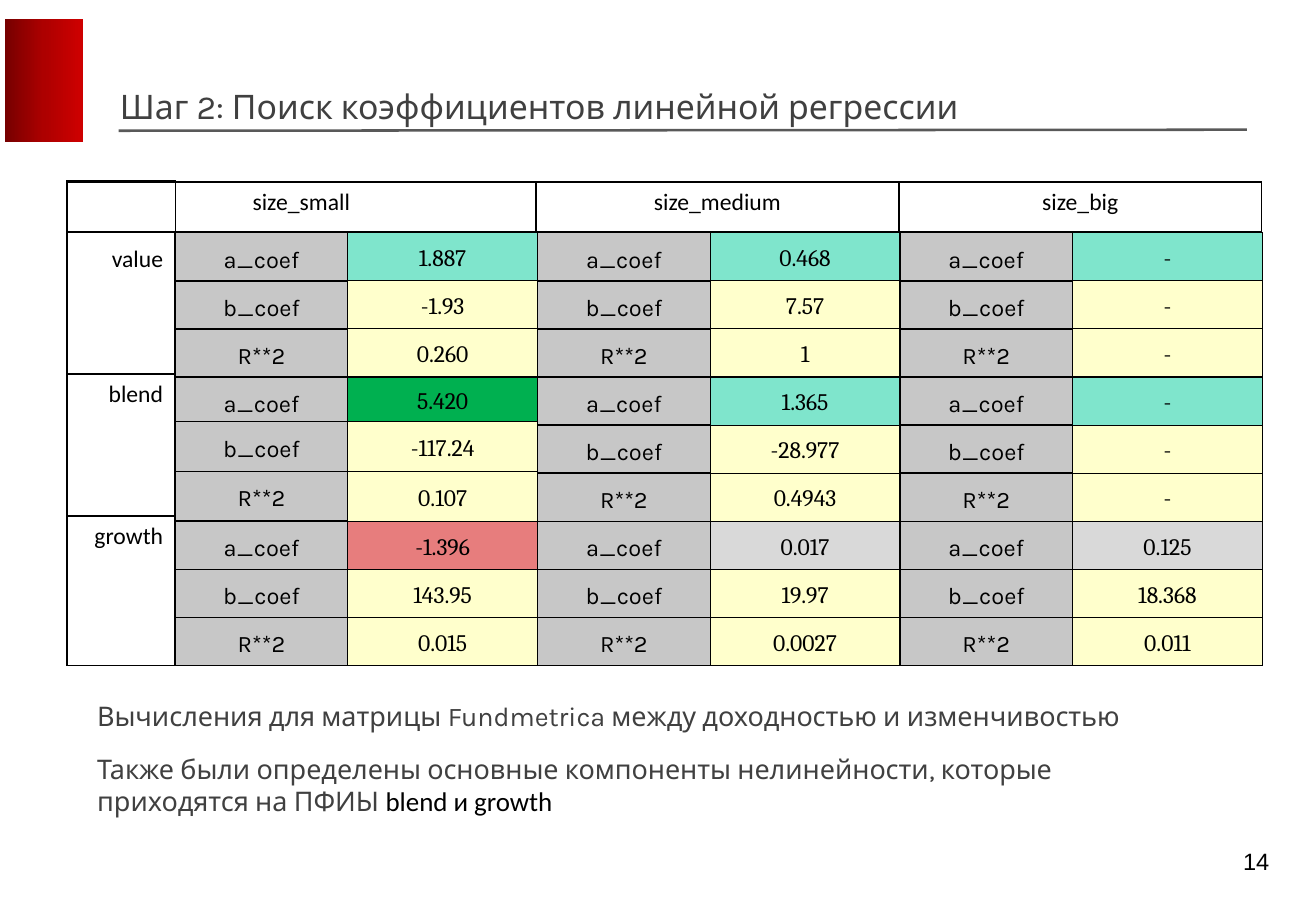
from copy import deepcopy

from lxml.etree import SubElement
from pptx import Presentation
from pptx.dml.color import RGBColor
from pptx.enum.shapes import MSO_CONNECTOR, MSO_SHAPE
from pptx.enum.text import MSO_ANCHOR, MSO_AUTO_SIZE, PP_ALIGN
from pptx.oxml.ns import qn
from pptx.util import Pt

COLORS = {
    "black": "000000", "text": "404040", "rule": "595959",
    "dark_red": "770000", "red": "AD0000", "bright_red": "CE0000",
    "label": "C7C7C7", "plain": "FFFFCC", "mint": "7FE5CC",
    "green": "00B050", "rose": "E77D7D", "neutral": "D9D9D9",
}
COEFFICIENTS = ["a_coef", "b_coef", "R**2"]
SIZES = ["size_small", "size_medium", "size_big"]
STYLES = ["value", "blend", "growth"]
# One row per style, one entry per size: colour of a_coef, then the three values.
RESULTS = [
    [("mint", "1.887", "-1.93", "0.260"), ("mint", "0.468", "7.57", "1"),
     ("mint", "-", "-", "-")],
    [("green", "5.420", "-117.24", "0.107"), ("mint", "1.365", "-28.977", "0.4943"),
     ("mint", "-", "-", "-")],
    [("rose", "-1.396", "143.95", "0.015"), ("neutral", "0.017", "19.97", "0.0027"),
     ("neutral", "0.125", "18.368", "0.011")],
]
BLOCK_LEFT, BLOCK_TOP = 103.8, 138
BLOCK_COLUMNS = [102.4, 112.4]
BLOCK_WIDTH, BLOCK_HEIGHT = sum(BLOCK_COLUMNS), 85.5
EVEN_ROWS = [BLOCK_HEIGHT / 3] * 3
BLEND_SMALL_ROWS = [26.5, 29.5, 29.5]


def color(name):
    return RGBColor.from_string(COLORS[name])


class SlideBuilder:
    def __init__(self, slide):
        self.slide = slide

    def set_font(self, font, name, size, color_name):
        font.name, font.size, font.bold = name, Pt(size), False
        font.color.rgb = color(color_name)

    def place(self, shape, left, top, width, height):
        shape.left, shape.top = Pt(left), Pt(top)
        shape.width, shape.height = Pt(width), Pt(height)

    def prepare_frame(self, frame, wrap=True):
        frame.word_wrap = wrap
        frame.auto_size = MSO_AUTO_SIZE.SHAPE_TO_FIT_TEXT
        frame.vertical_anchor = MSO_ANCHOR.TOP
        frame.margin_left = frame.margin_right = Pt(3.6)
        frame.margin_top = frame.margin_bottom = Pt(3.6)

    def placeholder(self, shape, box, paragraphs, size):
        """Fill a placeholder; each paragraph is a list of (text, font, colour) runs."""
        self.place(shape, *box)
        frame = shape.text_frame
        self.prepare_frame(frame)
        for index, runs in enumerate(paragraphs):
            paragraph = frame.add_paragraph() if index else frame.paragraphs[0]
            paragraph.alignment = PP_ALIGN.LEFT
            paragraph.space_before = Pt(12)
            properties = paragraph._p.get_or_add_pPr()
            properties.set("marL", "0")
            properties.set("indent", "0")
            SubElement(properties, qn("a:buNone"))
            self.set_font(paragraph.font, runs[0][1], size, runs[0][2])
            for text, font_name, color_name in runs:
                run = paragraph.add_run()
                run.text = text
                if len(runs) > 1:
                    self.set_font(run.font, font_name, size, color_name)

    def page_number(self, text, box):
        shape = self.slide.shapes.add_textbox(*[Pt(length) for length in box])
        self.prepare_frame(shape.text_frame, wrap=False)
        paragraph = shape.text_frame.paragraphs[0]
        paragraph.text = text
        paragraph.alignment = PP_ALIGN.RIGHT
        self.set_font(paragraph.font, "Arial", 14, "black")

    def gradient_block(self, box, color_names):
        shape = self.slide.shapes.add_shape(
            MSO_SHAPE.RECTANGLE, *[Pt(length) for length in box])
        shape.shadow.inherit = False
        shape.line.fill.background()
        shape.fill.gradient()
        shape.fill.gradient_angle = 0
        first = shape._element.spPr.find(".//" + qn("a:gs"))
        first.addnext(deepcopy(first))
        stops = shape.fill.gradient_stops
        for index, (stop, name) in enumerate(zip(stops, color_names)):
            stop.position = index / (len(color_names) - 1)
            stop.color.rgb = color(name)

    def line(self, start, end):
        connector = self.slide.shapes.add_connector(
            MSO_CONNECTOR.STRAIGHT, *[Pt(length) for length in start + end])
        connector.line.color.rgb = color("rule")
        connector.line.width = Pt(1.5)
        SubElement(connector._element.spPr, qn("a:effectLst"))

    def table(self, left, top, columns, rows):
        frame = self.slide.shapes.add_table(
            len(rows), len(columns), Pt(left), Pt(top), Pt(sum(columns)), Pt(sum(rows)))
        table = frame.table
        table.first_row = table.horz_banding = False
        for column, width in zip(table.columns, columns):
            column.width = Pt(width)
        for row, height in zip(table.rows, rows):
            row.height = Pt(height)
        return table

    def cell(self, cell, text, font_name="Calibri", fill=None, borders=(1, 1, 1, 1),
             alignment=PP_ALIGN.CENTER):
        """Write one cell; borders are widths for left, right, top, bottom."""
        properties = cell._tc.get_or_add_tcPr()
        for side, width in zip("LRTB", borders):
            border = SubElement(properties, qn("a:ln" + side), w=str(Pt(width)))
            paint = SubElement(border, qn("a:solidFill"))
            SubElement(paint, qn("a:srgbClr"), val=COLORS["black"])
        if fill:
            cell.fill.solid()
            cell.fill.fore_color.rgb = color(fill)
        else:
            cell.fill.background()
        paragraph = cell.text_frame.paragraphs[0]
        paragraph.text = text
        paragraph.alignment = alignment
        self.set_font(paragraph.font, font_name, 14, "black")
        return paragraph

    def coefficient_block(self, left, top, rows, highlight, values):
        table = self.table(left, top, BLOCK_COLUMNS, rows)
        for row, (name, value) in enumerate(zip(COEFFICIENTS, values)):
            name_cell, value_cell = table.cell(row, 0), table.cell(row, 1)
            for cell in (name_cell, value_cell):
                cell.margin_left = cell.margin_right = 0
                cell.margin_top = cell.margin_bottom = 0
            paragraph = self.cell(name_cell, name, "Karla", "label",
                                  (1, 0.75, 1 if row else 0.75, 1))
            paragraph.line_spacing, paragraph.space_before = 1.5, Pt(6)
            value_cell.vertical_anchor = MSO_ANCHOR.MIDDLE
            paragraph = self.cell(value_cell, value, "Cambria",
                                  "plain" if row else highlight, (0.75,) * 4)
            paragraph.line_spacing, paragraph.space_before = 1.15, Pt(8)


def main():
    presentation = Presentation()
    presentation.slide_width, presentation.slide_height = Pt(780), Pt(540)
    slide = presentation.slides.add_slide(presentation.slide_layouts[1])
    builder = SlideBuilder(slide)

    builder.gradient_block((3, 11, 46, 73), ["dark_red", "red", "bright_red"])
    builder.line((70.3, 77.5), (739, 76.9))
    builder.page_number("14", (732.2, 498.6, 23.8, 23))
    builder.placeholder(slide.shapes.title, (67.5, 47.1, 571.7, 31.7), [
        [("Шаг 2: Поиск коэффициентов линейной регрессии", "Karla", "text")],
    ], 20)
    builder.placeholder(slide.placeholders[1], (54, 411, 634.3, 77.8), [
        [("Вычисления для матрицы Fundmetrica между доходностью и изменчивостью",
          "Karla", "text")],
        [("Также были определены основные компоненты нелинейности, которые "
          "приходятся на ПФИЫ ", "Karla", "text"),
         ("blend и growth", "Calibri", "black")],
    ], 16)

    for style, blocks in enumerate(RESULTS):
        for size, (highlight, *values) in enumerate(blocks):
            is_blend_small = (STYLES[style], SIZES[size]) == ("blend", "size_small")
            builder.coefficient_block(
                BLOCK_LEFT + size * BLOCK_WIDTH, BLOCK_TOP + style * BLOCK_HEIGHT,
                BLEND_SMALL_ROWS if is_blend_small else EVEN_ROWS, highlight, values)

    size_table = builder.table(39.6, 108, [278, 215.3, 214.8], [29.5])
    for column, name in enumerate(SIZES):
        builder.cell(size_table.cell(0, column), name)
    style_table = builder.table(39.6, 107.3, [64.3], [114.5, 84.2, 88.5])
    style_table.cell(0, 0).margin_top = Pt(38)
    for row, name in enumerate(STYLES):
        builder.cell(style_table.cell(row, 0), name, alignment=PP_ALIGN.RIGHT)

    presentation.save("out.pptx")


if __name__ == "__main__":
    main()
